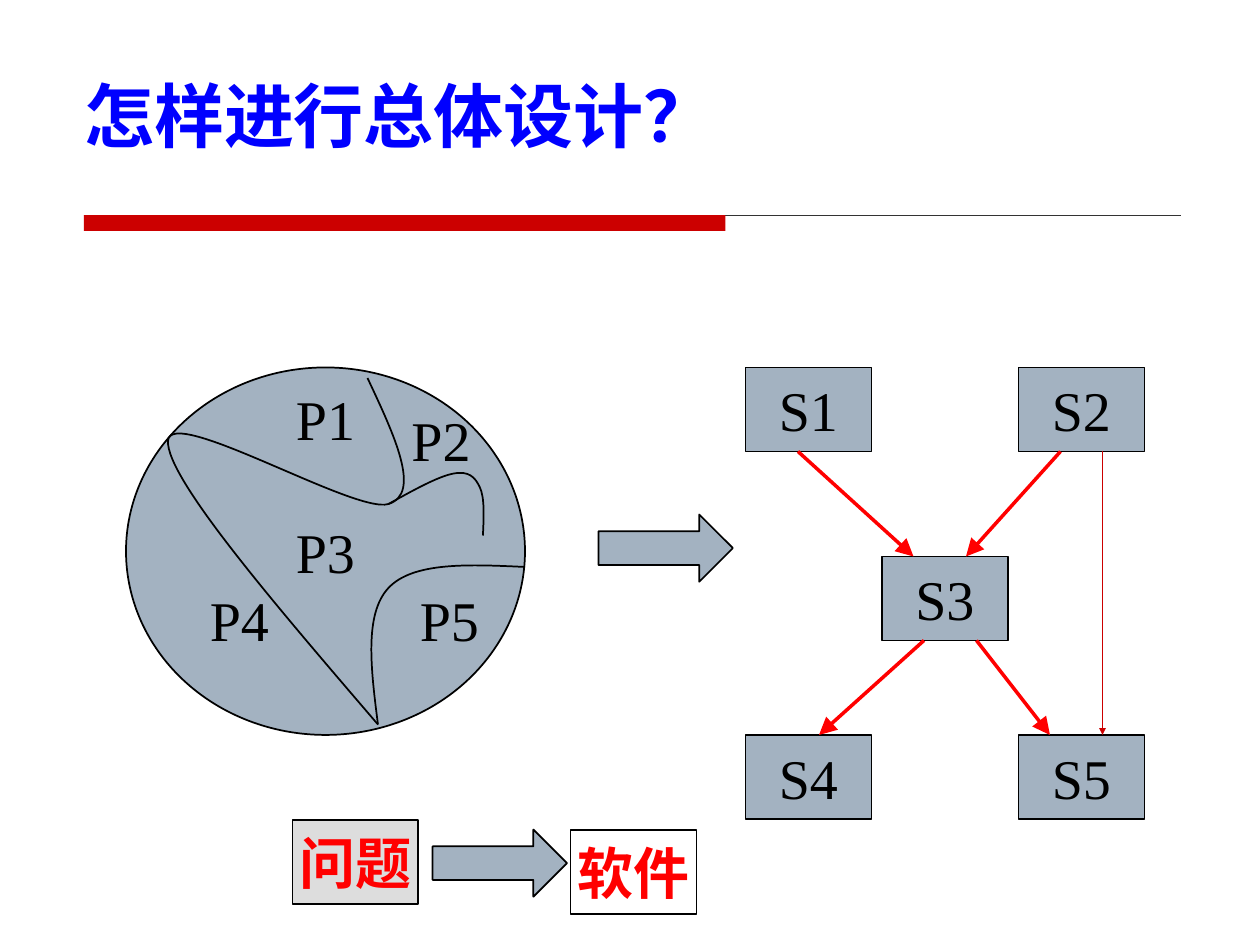
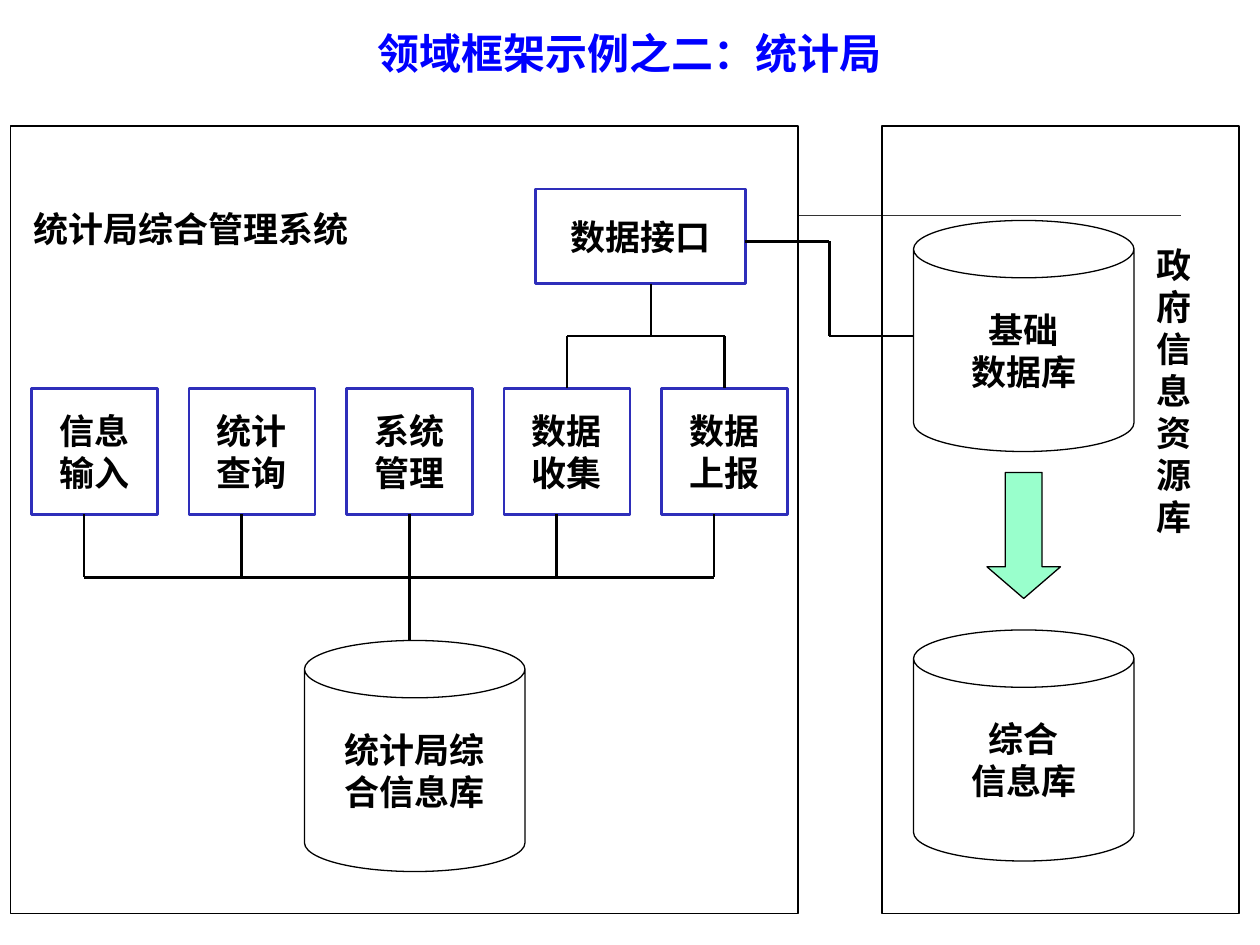
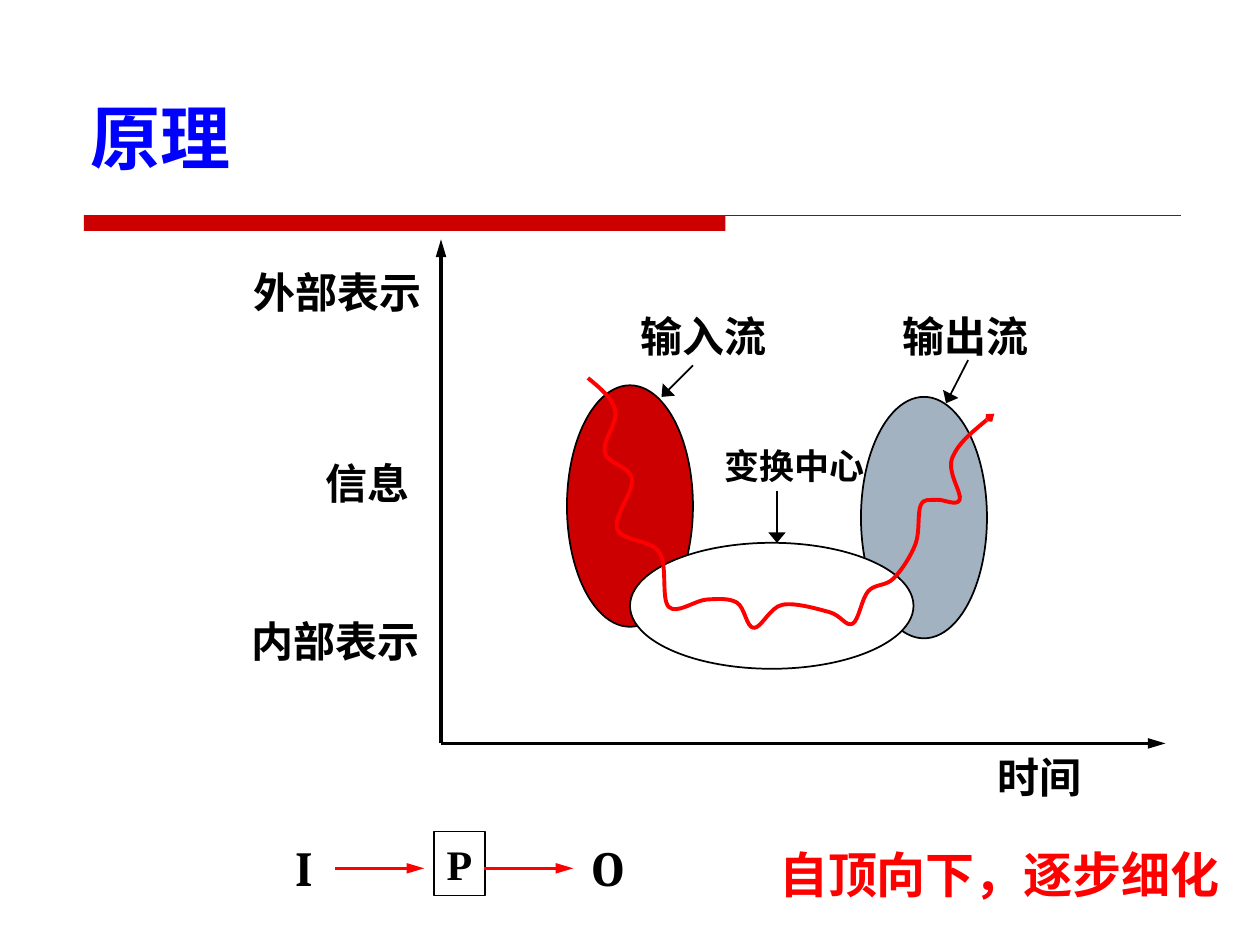
"""Build three slides on overall software design and save them as out.pptx."""
from lxml import etree
from pptx import Presentation
from pptx.dml.color import RGBColor
from pptx.enum.shapes import MSO_CONNECTOR, MSO_SHAPE as SHAPE
from pptx.enum.text import MSO_ANCHOR as ANCHOR, PP_ALIGN as ALIGN
from pptx.oxml.ns import qn
from pptx.util import Inches, Pt

RED = RGBColor(0xFF, 0x00, 0x00)
DARK_RED = RGBColor(0xCC, 0x00, 0x00)
BLUE = RGBColor(0x00, 0x00, 0xFF)
NAVY = RGBColor(0x2E, 0x2E, 0xBA)
STEEL = RGBColor(0xA3, 0xB2, 0xC1)
LIGHT_GRAY = RGBColor(0xDD, 0xDD, 0xDD)
DARK_GRAY = RGBColor(0x33, 0x33, 0x33)
MINT = RGBColor(0x99, 0xFF, 0xCC)
WHITE = RGBColor(0xFF, 0xFF, 0xFF)
BLACK = RGBColor(0x00, 0x00, 0x00)
SANS, SERIF, ARIAL, CAMBRIA = "Noto Sans CJK SC", "Times New Roman", "Arial", "Cambria"
LARGE_HEAD, SMALL_HEAD = ("lg", "lg"), ("sm", "sm")
SLIM_HEAD, FLAT_HEAD = ("med", "lg"), ("lg", "med")
COLUMNS = 120

presentation = Presentation()
presentation.slide_width = Inches(10)
presentation.slide_height = Inches(7.5)
CELL = presentation.slide_width / COLUMNS


def place(slide, kind, left, top, width, height, text="", fill=None, line=None,
          weight=1, size=20, font=SANS, color=BLACK, bold=True, align=None,
          anchor=None, margins=True, wrap=False):
    """Place a shape, or a text box when kind is None, measured in grid cells."""
    frame = [int(value * CELL) for value in (left, top, width, height)]
    if kind is None:
        shape = slide.shapes.add_textbox(*frame)
    else:
        shape = slide.shapes.add_shape(kind, *frame)
        shape.shadow.inherit = False
        align = align or ALIGN.CENTER
        anchor = anchor or ANCHOR.MIDDLE
        if fill is None:
            shape.fill.background()
        else:
            shape.fill.solid()
            shape.fill.fore_color.rgb = fill
        if line is None:
            shape.line.fill.background()
        else:
            shape.line.color.rgb = line
            shape.line.width = Pt(weight)
    if not text:
        return shape
    text_frame = shape.text_frame
    text_frame.word_wrap = wrap
    text_frame.vertical_anchor = anchor or ANCHOR.TOP
    if not margins:
        text_frame.margin_left = text_frame.margin_right = 0
        text_frame.margin_top = text_frame.margin_bottom = 0
    for index, words in enumerate(text.split("\n")):
        paragraph = text_frame.add_paragraph() if index else text_frame.paragraphs[0]
        paragraph.alignment = align or ALIGN.LEFT
        paragraph.line_spacing = Pt(size * 1.2)
        run = paragraph.add_run()
        run.text = words
        run.font.name = font
        run.font.size = Pt(size)
        run.font.bold = bold
        run.font.color.rgb = color
        etree.SubElement(run.font._element, qn("a:ea"), typeface=SANS)
    return shape


def connect(slide, start, end, color=BLACK, weight=1.5, head=None):
    """Draw a straight line between two grid points; head is (width, length)."""
    points = [int(value * CELL) for value in (*start, *end)]
    connector = slide.shapes.add_connector(MSO_CONNECTOR.STRAIGHT, *points)
    connector.line.color.rgb = color
    connector.line.width = Pt(weight)
    if head:
        etree.SubElement(connector.line._get_or_add_ln(), qn("a:tailEnd"),
                         type="triangle", w=head[0], len=head[1])
    etree.SubElement(connector._element.spPr, qn("a:effectLst"))
    return connector


slides = [presentation.slides.add_slide(presentation.slide_layouts[6]) for _ in range(3)]
band_left, band_top = 8, 20.5
for slide in slides:
    connect(slide, (band_left, band_top), (112.5, band_top), DARK_GRAY, 0.75)
    place(slide, SHAPE.RECTANGLE, band_left, band_top, 61.1, 1.5, fill=DARK_RED)
design, bureau, principle = slides

place(design, None, 6.84, 3.36, 102, 15, "怎样进行总体设计？", size=40, color=BLUE,
      anchor=ANCHOR.MIDDLE, wrap=True)
part_style = dict(size=32, font=SERIF, bold=False)
block_style = dict(part_style, fill=STEEL, line=BLACK)
place(design, SHAPE.OVAL, 12, 35, 38, 35, "P3", **block_style)
problem_parts = {"P1": (27, 36), "P2": (38, 38), "P4": (18.8, 55.2), "P5": (38.8, 55.2)}
for name, (left, top) in problem_parts.items():
    place(design, None, left, top, 8, 7.5, name, **part_style)

block_width, block_height = 12, 8
left_column, middle_column, right_column = (71 + 13 * index for index in range(3))
upper_row, middle_row, lower_row = 35, 53, 70
software_blocks = {
    "S1": (left_column, upper_row), "S2": (right_column, upper_row),
    "S3": (middle_column, middle_row),
    "S4": (left_column, lower_row), "S5": (right_column, lower_row),
}
for name, (left, top) in software_blocks.items():
    place(design, SHAPE.RECTANGLE, left, top, block_width, block_height, name, **block_style)
calls = [("S1", 5, "S3", 3), ("S2", 4, "S3", 8), ("S3", 4, "S4", 7), ("S3", 9, "S5", 3)]
for caller, exit_offset, callee, entry_offset in calls:
    caller_left, caller_top = software_blocks[caller]
    callee_left, callee_top = software_blocks[callee]
    connect(design, (caller_left + exit_offset, caller_top + block_height),
            (callee_left + entry_offset, callee_top), RED, 2, LARGE_HEAD)
connect(design, (right_column + 8, upper_row + block_height), (right_column + 8, lower_row),
        DARK_RED, 1, SMALL_HEAD)
for left, top in [(57, 49), (41.2, 79)]:
    place(design, SHAPE.RIGHT_ARROW, left, top, 12.8, 6.4, fill=STEEL, line=BLACK)
for name, left, top, fill in [("问题", 27.85, 78.1, LIGHT_GRAY), ("软件", 54.35, 79.05, WHITE)]:
    place(design, SHAPE.RECTANGLE, left, top, block_width, block_height, name, fill=fill,
          line=BLACK, size=32, font=SERIF, color=RED)

place(bureau, None, 0, 2, COLUMNS, 6, "领域框架示例之二：统计局", size=24, font=ARIAL,
      color=BLUE, align=ALIGN.CENTER, anchor=ANCHOR.MIDDLE, wrap=True)
panel_style = dict(line=BLACK, weight=0.75)
place(bureau, SHAPE.RECTANGLE, 1, 12, 75, 75, fill=WHITE, **panel_style)
place(bureau, SHAPE.RECTANGLE, 84, 12, 34, 75, **panel_style)

module_style = dict(fill=WHITE, line=NAVY, weight=1.5)
module_names = ["信息\n输入", "统计\n查询", "系统\n管理", "数据\n收集", "数据\n上报"]
module_lefts = [3 + 15 * index for index in range(len(module_names))]
module_side, module_top = 12, 37
module_bottom = module_top + module_side
modules = [place(bureau, SHAPE.RECTANGLE, left, module_top, module_side, module_side, name,
                 **module_style)
           for left, name in zip(module_lefts, module_names)]
interface_left, interface_top, interface_width, interface_height = 51, 18, 20, 9
interface_right = interface_left + interface_width
interface_bottom = interface_top + interface_height
place(bureau, SHAPE.RECTANGLE, interface_left, interface_top, interface_width,
      interface_height, "数据接口", **module_style)

store_width, store_height, store_top, base_left = 21, 22, 61, 87
stores = {"统计局综\n合信息库": (29, store_top), "基础\n数据库": (base_left, 21),
          "综合\n信息库": (base_left, 60)}
for name, (left, top) in stores.items():
    store = place(bureau, SHAPE.CAN, left, top, store_width, store_height, name,
                  font=ARIAL, **panel_style)
    store.adjustments[0] = 0.26

bus_row = 55
taps = [left + 5 for left in module_lefts]
connect(bureau, (taps[0], bus_row), (taps[-1], bus_row))
for index, tap in enumerate(taps):
    if index == 2:
        trunk = module_lefts[index] + module_side / 2
        connect(bureau, (trunk, module_bottom), (trunk, store_top)).begin_connect(modules[index], 2)
    else:
        connect(bureau, (tap, module_bottom), (tap, bus_row))

branch_row = 32
branches = [left + module_side / 2 for left in module_lefts[3:]]
connect(bureau, (62, interface_bottom), (62, branch_row))
connect(bureau, (branches[0], branch_row), (branches[1], branch_row))
for branch, module in zip(branches, modules[3:]):
    connect(bureau, (branch, branch_row), (branch, module_top)).end_connect(module, 0)
route = [(interface_right, 23), (79, 23), (79, branch_row), (base_left, branch_row)]
for start, end in zip(route, route[1:]):
    connect(bureau, start, end)
transfer = place(bureau, SHAPE.DOWN_ARROW, 94, 45, 7, 12, fill=MINT, **panel_style)
transfer.adjustments[1] = 0.43
place(bureau, None, 2, 19.2, 44.6, 6.8, "统计局综合管理系统", font=ARIAL, wrap=True)
place(bureau, None, 109, 22.6, 7.1, 40.4, "\n".join("政府信息资源库"), font=ARIAL, wrap=True)

place(principle, None, 8.64, 9, 27, 8, "原理", size=40, color=BLUE, margins=False, wrap=True)
axis_origin, information_end, time_end = (42, 70.8), (42, 22.8), (111, 70.8)
for axis_end in (information_end, time_end):
    connect(principle, axis_origin, axis_end, weight=2, head=SLIM_HEAD)
for left, top, width, height, fill in [(54, 36.7, 12, 23, DARK_RED), (82, 37.8, 12, 23, STEEL),
                                       (60, 51.7, 27, 12, WHITE)]:
    place(principle, SHAPE.OVAL, left, top, width, height, fill=fill, line=BLACK)
labels = {"外部表示": (23, 24.8), "信息": (29.8, 43), "内部表示": (22.8, 58), "时间": (93.8, 71),
          "输入流": (59.8, 29), "输出流": (84.8, 29), "变换中心": (67.8, 41.7)}
for name, (left, top) in labels.items():
    size = 20 if name == "变换中心" else 24
    place(principle, None, left, top, len(name) * size / 6 + 2.6, 6.1, name, size=size, font=SERIF)
pointers = [((66, 34.8), (63, 37.8)), ((74, 46.8), (74, 51.7)), ((92.2, 34.3), (90.1, 38.4))]
for label_point, flow_point in pointers:
    connect(principle, label_point, flow_point, weight=1, head=FLAT_HEAD)
place(principle, SHAPE.RECTANGLE, 41.3, 79.2, 4.9, 6.1, "P", line=BLACK, size=24, font=SERIF)
for left in (31.9, 46.1):
    connect(principle, (left, 82.7), (left + 8.5, 82.7), RED, 2, SLIM_HEAD)
closing_style = dict(size=28, font=CAMBRIA, margins=False)
for name, left, width in [("I", 28.1, 1.8), ("O", 56.4, 3.7)]:
    place(principle, None, left, 79.8, width, 5.6, name, **closing_style)
place(principle, None, 74.2, 80.4, 43.1, 5.6, "自顶向下，逐步细化", color=RED, **closing_style)

junction, circle_foot = (37, 48), (36, 69)
border_of_p1_and_p4 = [(35, 36), junction, (16, 42), circle_foot]
border_of_p5 = [circle_foot, (37, 56), (50, 54)]
border_of_p2 = [junction, (43.2, 45.1), (45.7, 46.4), (46, 51)]
input_bends = [(56, 36), (58.6, 39.1), (57.6, 43.1), (60.2, 45.6), (58.8, 50.4), (62.8, 52.6)]
center_bends = [(63.7, 57.8), (67.3, 57.1), (70.2, 57.4), (71.8, 59.8), (74.5, 57.6),
                (79, 58.3), (81.2, 59.4), (82.7, 56.3)]
output_bends = [(85.1, 55.1), (87.2, 51.8), (87.7, 48.1), (89.2, 47.6), (91.4, 47.6),
                (90.7, 43.6), (94.7, 39.4)]
information_flow = input_bends + center_bends + output_bends
for slide, bends, color, weight in [
    (design, border_of_p1_and_p4, BLACK, 1), (design, border_of_p5, BLACK, 1),
    (design, border_of_p2, BLACK, 1), (principle, information_flow, RED, 2.25),
]:
    knots = [complex(*bend) * CELL for bend in bends]
    controls = []
    for before, start, end, after in zip([None] + knots, knots, knots[1:], knots[2:] + [None]):
        leaving = None if before is None else start + (end - before) / 6
        arriving = (leaving + end) / 2 if after is None else end - (after - start) / 6
        if leaving is None:
            leaving = (start + arriving) / 2
        controls += [leaving, arriving, end]
    builder = slide.shapes.build_freeform(knots[0].real, knots[0].imag)
    builder.add_line_segments([(point.real, point.imag) for point in controls], close=False)
    curve = builder.convert_to_shape()
    curve.shadow.inherit = False
    curve.fill.background()
    curve.line.color.rgb = color
    curve.line.width = Pt(weight)
    segments = list(curve._element.iter(qn("a:lnTo")))
    outline = segments[0].getparent()
    for index in range(0, len(segments), 3):
        bezier = etree.SubElement(outline, qn("a:cubicBezTo"))
        for segment in segments[index:index + 3]:
            bezier.append(segment[0])
            outline.remove(segment)
    if slide is principle:
        etree.SubElement(curve.line._get_or_add_ln(), qn("a:tailEnd"), type="arrow", w="sm", len="sm")

presentation.save("out.pptx")
